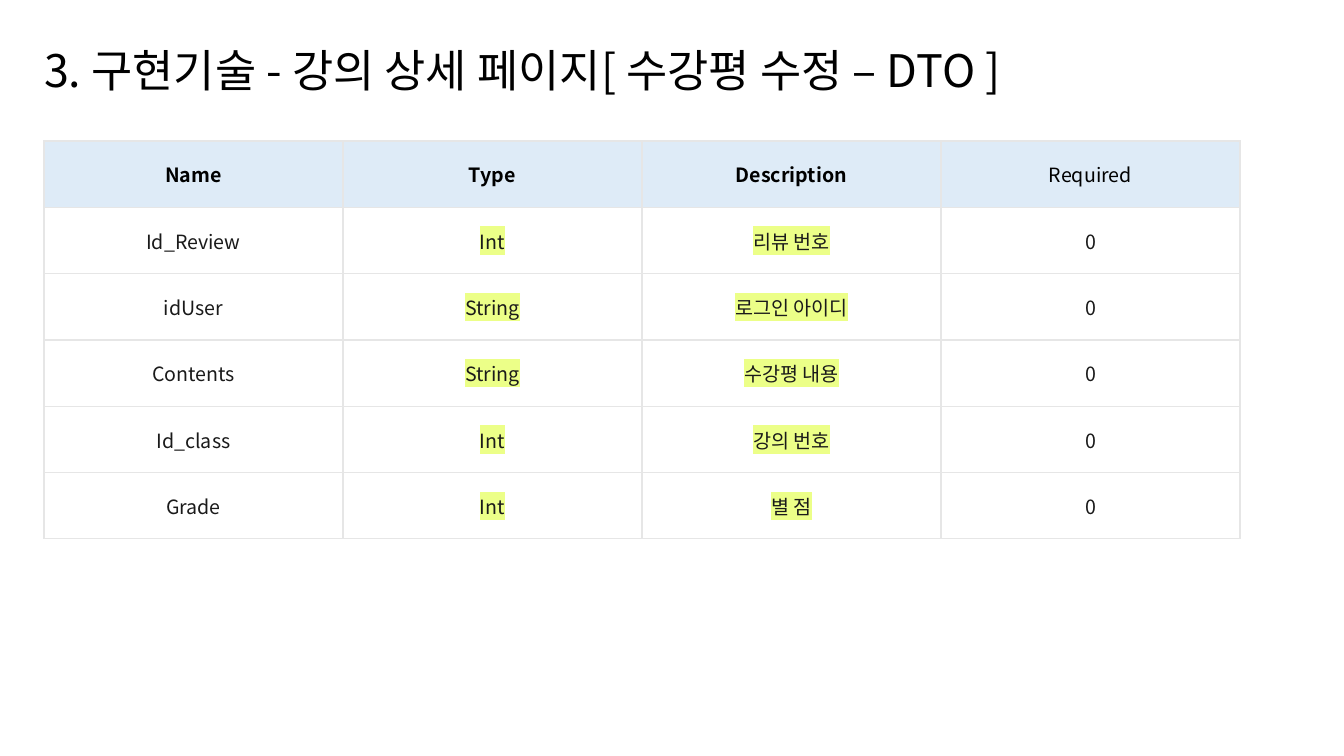
import dataclasses

import lxml.etree
import pptx
import pptx.dml.color
import pptx.enum.text
import pptx.oxml.ns
import pptx.util

EMU_PER_PX = 914400 / 100.8
FONT = "Noto Sans CJK KR"
BLACK = "000000"
BODY_TEXT = "1A1A1A"
HEADER_FILL = "DEEBF7"
BORDER = "E6E6E6"
HIGHLIGHT = "ECFF88"
TITLE = "3. 구현기술 - 강의 상세 페이지[ 수강평 수정 – DTO ]"
HEADERS = ("Name", "Type", "Description", "Required")


@dataclasses.dataclass
class Field:
    name: str
    type_name: str
    description: str
    required: str = "0"


FIELDS = (
    Field("Id_Review", "Int", "리뷰 번호"),
    Field("idUser", "String", "로그인 아이디"),
    Field("Contents", "String", "수강평 내용"),
    Field("Id_class", "Int", "강의 번호"),
    Field("Grade", "Int", "별 점"),
)


def px(length: float) -> pptx.util.Emu:
    return pptx.util.Emu(round(length * EMU_PER_PX))


def color(hex_code: str) -> pptx.dml.color.RGBColor:
    return pptx.dml.color.RGBColor.from_string(hex_code)


def add_element(parent, tag: str, **attributes: str):
    return lxml.etree.SubElement(parent, pptx.oxml.ns.qn(tag), attributes)


def format_paragraph(para, size: int, hex_code: str, align, bold: bool = False) -> None:
    para.alignment = align
    para.font.size = pptx.util.Pt(size)
    para.font.bold = bold
    para.font.color.rgb = color(hex_code)
    para.font.name = FONT
    # Hangul takes its typeface from the East Asian slot.
    defaults = para._p.pPr.find(pptx.oxml.ns.qn("a:defRPr"))
    add_element(defaults, "a:ea", typeface=FONT)


def highlight(span) -> None:
    mark = add_element(span._r.get_or_add_rPr(), "a:highlight")
    add_element(mark, "a:srgbClr", val=HIGHLIGHT)


def add_borders(cell) -> None:
    properties = cell._tc.get_or_add_tcPr()
    for index, side in enumerate(("a:lnL", "a:lnR", "a:lnT", "a:lnB")):
        line = add_element(properties, side, w=str(pptx.util.Pt(1)))
        add_element(add_element(line, "a:solidFill"), "a:srgbClr", val=BORDER)
        properties.insert(index, line)


def fill_cell(cell, text: str, is_header: bool, bold: bool, marked: bool) -> None:
    cell.vertical_anchor = pptx.enum.text.MSO_ANCHOR.MIDDLE
    if is_header:
        cell.fill.solid()
        cell.fill.fore_color.rgb = color(HEADER_FILL)
    else:
        cell.fill.background()
    add_borders(cell)
    para = cell.text_frame.paragraphs[0]
    span = para.add_run()
    span.text = text
    if marked:
        highlight(span)
    text_color = BLACK if is_header else BODY_TEXT
    format_paragraph(para, 14, text_color, pptx.enum.text.PP_ALIGN.CENTER, bold)


def place_title(page) -> None:
    title = page.shapes.title
    title.left, title.top, title.width, title.height = px(34), px(19), px(1232), px(107)
    title.text_frame.text = TITLE
    title.text_frame.vertical_anchor = pptx.enum.text.MSO_ANCHOR.MIDDLE
    para = title.text_frame.paragraphs[0]
    para.line_spacing = 0.9
    format_paragraph(para, 32, BLACK, pptx.enum.text.PP_ALIGN.LEFT)


def add_field_table(page) -> None:
    rows = [HEADERS, *map(dataclasses.astuple, FIELDS)]
    frame = page.shapes.add_table(
        len(rows), len(HEADERS), px(44), px(141), px(1196), px(398)
    )
    table = frame.table
    table.first_row = table.horz_banding = False
    for row_index, row in enumerate(rows):
        is_header = row_index == 0
        for column_index, text in enumerate(row):
            heading = HEADERS[column_index]
            fill_cell(
                table.cell(row_index, column_index),
                text,
                is_header,
                bold=is_header and heading != "Required",
                marked=not is_header and heading in ("Type", "Description"),
            )


def main() -> None:
    deck = pptx.Presentation()
    deck.slide_width, deck.slide_height = px(1344), px(756)
    page = deck.slides.add_slide(deck.slide_layouts.get_by_name("Title Only"))
    place_title(page)
    add_field_table(page)
    deck.save("out.pptx")


if __name__ == "__main__":
    main()
